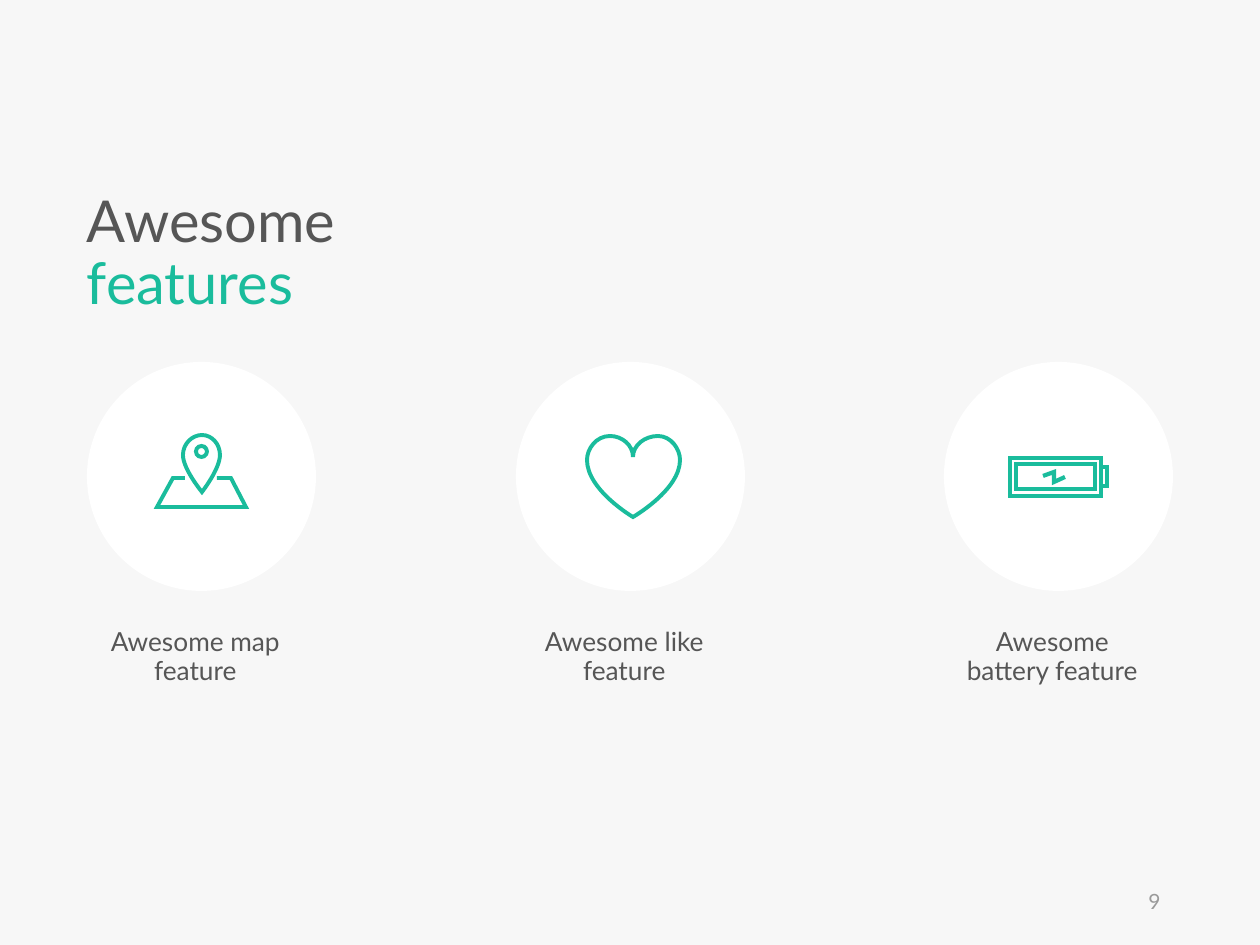
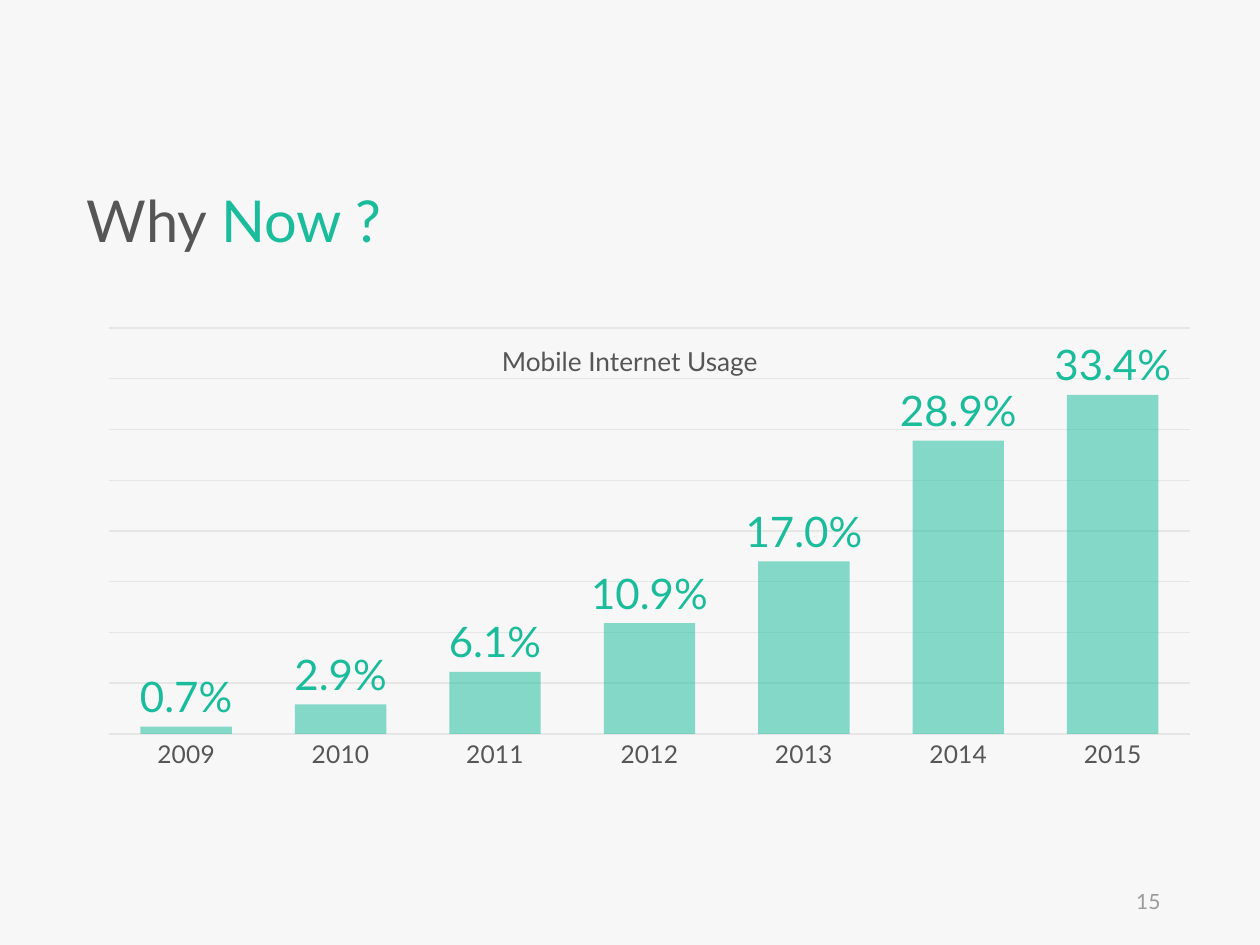
from dataclasses import dataclass
from lxml.etree import SubElement as Sub
from pptx import Presentation
from pptx.chart.data import CategoryChartData as Data
from pptx.dml.color import RGBColor as RGB
from pptx.enum.chart import XL_CHART_TYPE as Kind, XL_LABEL_POSITION as Spot, XL_TICK_MARK as Tick
from pptx.enum.shapes import MSO_SHAPE as Geo
from pptx.enum.text import MSO_ANCHOR as Anchor, MSO_AUTO_SIZE as Auto, PP_ALIGN as Align
from pptx.oxml.ns import qn
from pptx.util import Pt


@dataclass
class Theme:
    back: RGB = RGB.from_string("F7F7F7")
    white: RGB = RGB.from_string("FFFFFF")
    green: RGB = RGB.from_string("1ABC9C")
    dark: RGB = RGB.from_string("565656")
    gray: RGB = RGB.from_string("9A9A9A")
    grid: RGB = RGB.from_string("E6E6E6")
    font: str = "Lato"
    title: int = 33
    value: int = 24
    label: int = 15
    axis: int = 14
    page: int = 12


theme = Theme()
unit = 914400 / 126


def write(slide, box, runs, size, align, left=13, space=None):
    frame = slide.shapes.add_textbox(*[round(v * unit) for v in box]).text_frame
    frame.word_wrap = True
    frame.auto_size = Auto.SHAPE_TO_FIT_TEXT
    frame.margin_left = round(left * unit)
    para = frame.paragraphs[0]
    para.alignment = align
    para.line_spacing = space
    for text, color in runs:
        run = para.add_run()
        run.text = text
        run.font.name = theme.font
        run.font.size = Pt(size)
        run.font.color.rgb = color
    return frame


def trace(shapes, start, parts, closed):
    ends = [part[-2:] for part in parts]
    form = shapes.build_freeform(*start, scale=unit)
    form.add_line_segments(ends, close=closed)
    shape = form.convert_to_shape()
    left, top = (min(axis) for axis in zip(start, *ends))
    steps = list(shape._element.iter(qn("a:lnTo")))
    for step, part in zip(steps, parts):
        if len(part) == 6:
            step.tag = qn("a:cubicBezTo")
            step.remove(step[0])
            for x, y in zip(part[::2], part[1::2]):
                Sub(step, qn("a:pt"), x=str(x - left), y=str(y - top))
    return shape


deck = Presentation()
deck.slide_width, deck.slide_height = round(1260 * unit), round(945 * unit)
pages = []
for first, second, number in [("Awesome ", "features", "9"), ("Why ", "Now ?", "15")]:
    slide = deck.slides.add_slide(deck.slide_layouts[6])
    slide.background.fill.solid()
    slide.background.fill.fore_color.rgb = theme.back
    head = write(slide, (87, 186, 464, 76), [(first, theme.dark), (second, theme.green)],
                 theme.title, Align.LEFT, 0, 0.9)
    head.paragraphs[0].space_before = Pt(10)
    foot = write(slide, (890, 876, 283, 50), [(number, theme.gray)], theme.page, Align.RIGHT)
    foot.auto_size = Auto.NONE
    foot.vertical_anchor = Anchor.MIDDLE
    pages.append(slide)

slide, stats = pages
for i, name in enumerate(["map", "like", "battery"]):
    left = 87 + (i * 857 + 1) // 2
    disc = slide.shapes.add_shape(Geo.OVAL, *[round(v * unit) for v in (left, 362, 229, 229)])
    disc.shadow.inherit = False
    disc.fill.solid()
    disc.fill.fore_color.rgb = theme.white
    disc.line.fill.background()
    write(slide, (left + 10, 623, 209, 71), [(f"Awesome {name} feature", theme.dark)],
          theme.label, Align.CENTER, 0, 0.9)

icons = [
    (2.25, [(Geo.OVAL, (196, 446, 11, 11))], [
        ((220, 455), [(220, 444, 212, 435, 202, 435), (192, 435, 183, 444, 183, 455),
                      (183, 469, 202, 492, 202, 492), (202, 492, 220, 469, 220, 455)], True),
        ((185, 478), [(173, 478), (157, 507), (202, 507), (246, 507), (231, 478), (217, 478)], False)]),
    (2.25, [], [
        ((587, 460), [(587, 490, 633, 517, 633, 517), (633, 517, 680, 490, 680, 460),
                      (680, 449, 671, 436, 658, 436), (645, 436, 633, 445, 633, 457),
                      (633, 445, 622, 436, 610, 436), (596, 436, 587, 449, 587, 460)], True)]),
    (2.38, [(Geo.RECTANGLE, (1010, 458, 91, 38)), (Geo.RECTANGLE, (1016, 464, 79, 25))], [
        ((1101, 467), [(1107, 467), (1107, 486), (1101, 486)], False),
        ((1043, 476), [(1054, 472), (1054, 482), (1065, 477)], False)]),
]
for width, solids, paths in icons:
    group = slide.shapes.add_group_shape().shapes if solids else slide.shapes
    marks = [group.add_shape(geo, *[round(v * unit) for v in box]) for geo, box in solids]
    marks += [trace(group, *path) for path in paths]
    for mark in marks:
        mark.shadow.inherit = False
        mark.fill.background()
        mark.line.color.rgb = theme.green
        mark.line.width = Pt(width)
        Sub(mark.line._ln, qn("a:miter"), lim="800000")

data = Data(number_format="0.0%")
data.categories = [str(year) for year in range(2009, 2016)]
data.add_series("Series 1", [0.007, 0.029, 0.061, 0.109, 0.17, 0.289, 0.334])
chart = stats.shapes.add_chart(Kind.COLUMN_CLUSTERED,
                               *[round(v * unit) for v in (87, 319, 1125, 459)], data).chart
chart.has_legend = chart.has_title = False
chart.font.name = theme.font
chart.font.size = Pt(theme.axis)
chart.font.color.rgb = theme.dark

years, rates = chart.category_axis, chart.value_axis
years.major_tick_mark = years.minor_tick_mark = Tick.NONE
rates.visible = False
rates.minimum_scale, rates.maximum_scale, rates.major_unit = 0, 0.4, 0.05
rates.has_major_gridlines = True
for line in (years.format.line, rates.major_gridlines.format.line):
    line.color.rgb = theme.grid
    line.width = Pt(0.75)

plot = chart.plots[0]
plot.vary_by_categories = False
plot.gap_width, plot.overlap = 69, 7
bars = plot.series[0]
bars.format.fill.solid()
bars.format.fill.fore_color.rgb = theme.green
Sub(next(bars._element.iter(qn("a:srgbClr"))), qn("a:alpha"), val="52000")
tags = bars.data_labels
tags.show_value = True
tags.position = Spot.OUTSIDE_END
tags.number_format, tags.number_format_is_linked = "0.0%", False
tags.font.name = theme.font
tags.font.size = Pt(theme.value)
tags.font.color.rgb = theme.green

area = chart._chartSpace.chart.plotArea
for old in area.findall(qn("c:layout")):
    area.remove(old)
frame = Sub(area, qn("c:layout"))
area.insert(0, frame)
frame = Sub(frame, qn("c:manualLayout"))
for key, val in [("layoutTarget", "inner"), ("xMode", "edge"), ("yMode", "edge"),
                 ("x", 22 / 1125), ("y", 9 / 459), ("w", 1081 / 1125), ("h", 406 / 459)]:
    Sub(frame, qn(f"c:{key}"), val=str(val))

write(stats, (404, 339, 451, 44), [("Mobile Internet Usage", theme.dark)], theme.label, Align.CENTER)
deck.save("out.pptx")
